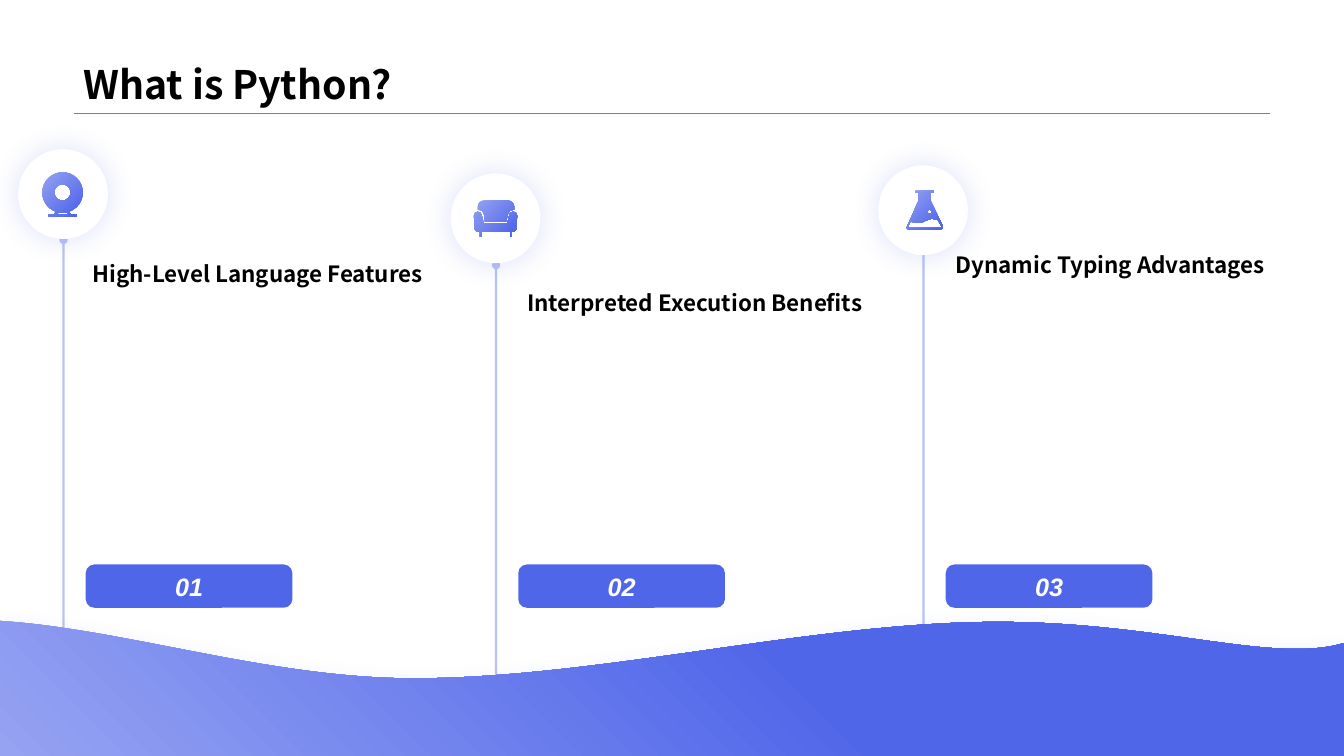
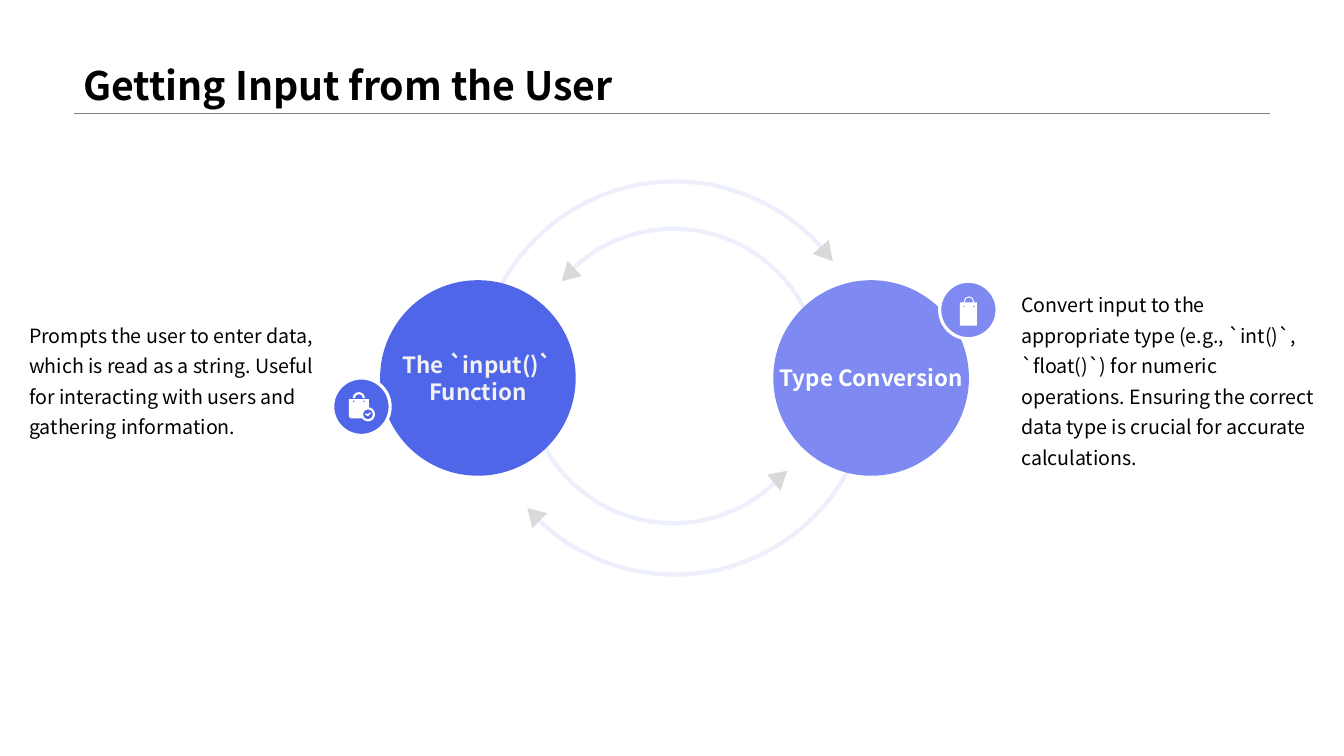
from math import cos, radians, sin, tan

from lxml import etree
from pptx import Presentation
from pptx.dml.color import RGBColor
from pptx.enum.shapes import MSO_CONNECTOR, MSO_SHAPE
from pptx.enum.text import MSO_ANCHOR, MSO_AUTO_SIZE, PP_ALIGN
from pptx.oxml.ns import qn
from pptx.util import Pt

PX = 9144
WIDTH, HEIGHT = 1333, 750
STRAIGHT = MSO_CONNECTOR.STRAIGHT
OVAL, ROUNDED = MSO_SHAPE.OVAL, MSO_SHAPE.ROUNDED_RECTANGLE
TOP, MIDDLE, BOTTOM = MSO_ANCHOR.TOP, MSO_ANCHOR.MIDDLE, MSO_ANCHOR.BOTTOM
LEFT, CENTER = PP_ALIGN.LEFT, PP_ALIGN.CENTER
GROW = MSO_AUTO_SIZE.SHAPE_TO_FIT_TEXT
BLUE = RGBColor(0x50, 0x66, 0xE9)
PERIWINKLE = RGBColor(0x7E, 0x8A, 0xF1)
PALE_BLUE = RGBColor(0x96, 0xA3, 0xF2)
BLACK = RGBColor(0x00, 0x00, 0x00)
GRAY = RGBColor(0x80, 0x80, 0x80)
ARROW_GRAY = RGBColor(0xD9, 0xD9, 0xD9)
OFF_WHITE = RGBColor(0xF2, 0xF2, 0xF2)
WHITE = RGBColor(0xFF, 0xFF, 0xFF)
SANS, NUMERAL_FONT = "Noto Sans CJK SC", "Arial"


def arc(center_x, center_y, radius, start, end):
    low, high = sorted((start, end))
    stops = [low, *(turn for turn in range(-360, 451, 90) if low < turn < high), high]
    if start > end:
        stops.reverse()
    segments = [(center_x + radius * cos(radians(start)), center_y + radius * sin(radians(start)))]
    for a, b in zip(map(radians, stops), map(radians, stops[1:])):
        reach = 4 / 3 * tan((b - a) / 4)
        segments.append((
            center_x + radius * (cos(a) - reach * sin(a)),
            center_y + radius * (sin(a) + reach * cos(a)),
            center_x + radius * (cos(b) + reach * sin(b)),
            center_y + radius * (sin(b) - reach * cos(b)),
            center_x + radius * cos(b),
            center_y + radius * sin(b),
        ))
    return segments


def draw_outline(page, contours, color, closed=True):
    builder = None
    for contour in contours:
        lengths = [round(value * PX) for segment in contour for value in segment]
        points = list(zip(lengths[::2], lengths[1::2]))
        if builder is None:
            builder = page.shapes.build_freeform(*points[0])
        else:
            builder.move_to(*points[0])
        builder.add_line_segments(points[1:], close=closed)
    shape = builder.convert_to_shape()
    steps = iter(list(shape._element.spPr.iter(qn("a:lnTo"))))
    for segment in (segment for contour in contours for segment in contour[1:]):
        step = next(steps)
        if len(segment) == 6:
            step.tag = qn("a:cubicBezTo")
            for extra in (next(steps), next(steps)):
                step.append(extra[0])
                extra.getparent().remove(extra)
    shape.shadow.inherit = False
    if closed:
        shape.fill.solid()
        shape.fill.fore_color.rgb = color
        shape.line.fill.background()
    else:
        shape.fill.background()
        shape.line.color.rgb = color
    return shape


deck = Presentation()
deck.slide_width, deck.slide_height = WIDTH * PX, HEIGHT * PX
labels = []
growing_boxes = []
connectors = []
faded_lines = []
gradients = []
shadows = []

pages = []
for title, spacing in (("What is Python?", 0.9), ("Getting Input from the User", 1.2)):
    page = deck.slides.add_slide(deck.slide_layouts[6])
    rule = page.shapes.add_connector(STRAIGHT, 73 * PX, 112 * PX, 1260 * PX, 112 * PX)
    rule.line.color.rgb = GRAY
    rule.line.width = Pt(0.25)
    connectors.append(rule)
    box = page.shapes.add_textbox(73 * PX, 0, 1187 * PX, 112 * PX)
    labels.append((box, title, SANS, 28, BLACK, True, LEFT, BOTTOM, spacing))
    pages.append(page)
features_page, input_page = pages

webcam = [
    arc(62, 191, 20, 110, 430)
    + [(70, 213), (76, 213), (76, 215), (48, 215), (48, 213), (54, 213)],
    [(58, 211), (56, 213), (68, 213), (67, 211)],
    arc(62, 191, 8, 0, 360),
]
armchair = [
    arc(474, 214, 4, 180, 360) + [(480, 222), (503, 222)] + arc(509, 214, 4, 180, 360)
    + [(512, 228), (510, 230), (507, 230), (507, 235), (506, 235), (506, 230), (478, 230),
       (478, 235), (476, 235), (476, 230), (473, 230), (471, 228)],
    arc(480, 205, 6, 180, 270) + arc(504, 205, 6, 270, 360)
    + [(510, 208), (506, 209), (504, 212), (502, 220), (481, 220), (480, 212), (478, 209),
       (474, 208)],
]
flask = [
    [(908, 189), (926, 189), (926, 191), (923, 191), (923, 199), (935, 224), (935, 226),
     (933, 228), (901, 228), (899, 226), (900, 224), (911, 199), (911, 191), (908, 191)],
    [(903, 220), (909, 221), (914, 221), (918, 219), (924, 217), (930, 218), (934, 225),
     (933, 226), (901, 226), (901, 224)],
    arc(922, 210, 2, 0, 360),
]

features = (
    ("01", "High-Level Language Features", webcam, 63, 148, 238, 656, 82, 253),
    ("02", "Interpreted Execution Benefits", armchair, 492, 172, 263, 707, 513, 282),
    ("03", "Dynamic Typing Advantages", flask, 916, 164, 224, 656, 938, 244),
)
for number, heading, icon, x, disc_top, stem_top, stem_bottom, left, top in features:
    stem = features_page.shapes.add_connector(
        STRAIGHT, x * PX, stem_top * PX, x * PX, stem_bottom * PX)
    stem.line.color.rgb = BLUE
    stem.line.width = Pt(1.5)
    outline = stem._element.spPr.find(qn("a:ln"))
    for end in ("a:headEnd", "a:tailEnd"):
        etree.SubElement(outline, qn(end), type="oval")
    connectors.append(stem)
    faded_lines.append((stem, 40))

wave = [
    (WIDTH, 638), (WIDTH, HEIGHT), (0, HEIGHT), (0, 616),
    (124, 624, 267, 673, 410, 673),
    (594, 673, 806, 617, 990, 617),
    (1150, 617, 1264, 659, WIDTH, 638),
]
wave_shape = draw_outline(features_page, [wave], BLUE)
gradients.append((wave_shape, 45, 0.6))
shadows.append((wave_shape, 10))

for number, heading, icon, x, disc_top, stem_top, stem_bottom, left, top in features:
    badge = features_page.shapes.add_shape(
        ROUNDED, (x + 22) * PX, 560 * PX, 205 * PX, 43 * PX)
    badge.adjustments[0] = 0.2
    badge.shadow.inherit = False
    badge.fill.solid()
    badge.fill.fore_color.rgb = BLUE
    badge.line.fill.background()
    labels.append((badge, number, NUMERAL_FONT, 18, WHITE, True, CENTER, MIDDLE, 1))
    box = features_page.shapes.add_textbox(left * PX, top * PX, 384 * PX, 37 * PX)
    growing_boxes.append(box)
    labels.append((box, heading, SANS, 16, BLACK, True, LEFT, TOP, 1))
    disc = features_page.shapes.add_shape(
        OVAL, (x - 45) * PX, disc_top * PX, 89 * PX, 89 * PX)
    disc.fill.solid()
    disc.fill.fore_color.rgb = WHITE
    disc.line.fill.background()
    shadows.append((disc, 0))
    gradients.append((draw_outline(features_page, icon, BLUE), 315, 0.9))

for center_x, center_y, radius, start, end in (
    (669, 375, 195, 180, 319),
    (668, 373, 146, 45, 184),
    (668, 373, 146, 225, 361),
    (669, 375, 195, 0, 136),
):
    orbit = draw_outline(
        input_page, [arc(center_x, center_y, radius, start, end)], BLUE, closed=False)
    orbit.line.width = Pt(3)
    faded_lines.append((orbit, 10))

for arrowhead in (
    [(822, 238), (806, 252), (826, 259)],
    [(761, 471), (774, 487), (781, 467)],
    [(577, 274), (563, 259), (557, 279)],
    [(528, 524), (543, 509), (523, 504)],
):
    draw_outline(input_page, [arrowhead], ARROW_GRAY)

checked_bag = [
    [(346, 396), (366, 396)] + arc(365, 411, 7, -82, 145) + [(348, 415), (346, 413)],
    arc(365, 411, 5, 0, 360),
    [(362, 411), (363, 410), (365, 411), (367, 409), (368, 410), (365, 413)],
    arc(351, 398, 1, 0, 360),
    arc(361, 398, 1, 0, 360),
    arc(356, 395, 6, 180, 360) + arc(356, 395, 4, 360, 180),
]
shopping_bag = [
    [(952, 300), (969, 300), (969, 323), (952, 323)],
    arc(956, 304, 1, 0, 360),
    arc(966, 304, 1, 0, 360),
    arc(961, 299, 5, 180, 360) + [(966, 300), (965, 300)] + arc(961, 299, 4, 360, 180)
    + [(957, 300), (956, 300)],
]
for topic, color, text_color, center_x, icon, icon_left, icon_top, left, description in (
    ("The `input()` Function", BLUE, OFF_WHITE, 474, checked_bag, 330, 375, 19,
     "Prompts the user to enter data, which is read as a string. Useful for interacting "
     "with users and gathering information."),
    ("Type Conversion", PERIWINKLE, WHITE, 864, shopping_bag, 932, 279, 1003,
     "Convert input to the appropriate type (e.g., `int()`, `float()`) for numeric "
     "operations. Ensuring the correct data type is crucial for accurate calculations."),
):
    circle = draw_outline(input_page, [arc(center_x, 375, 97, 0, 360)], color)
    frame = circle.text_frame
    frame.margin_left = frame.margin_right = frame.margin_top = frame.margin_bottom = 0
    labels.append((circle, topic, SANS, 16, text_color, True, CENTER, MIDDLE, 1))
    marker = input_page.shapes.add_shape(
        OVAL, icon_left * PX, icon_top * PX, 57 * PX, 57 * PX)
    marker.shadow.inherit = False
    marker.fill.solid()
    marker.fill.fore_color.rgb = color
    marker.line.color.rgb = WHITE
    marker.line.width = Pt(2.25)
    draw_outline(input_page, icon, WHITE)
    box = input_page.shapes.add_textbox(left * PX, 279 * PX, 311 * PX, 191 * PX)
    growing_boxes.append(box)
    labels.append((box, description, SANS, 14, BLACK, False, LEFT, MIDDLE, 1.3))

for shape, text, font_name, size, color, bold, alignment, anchor, spacing in labels:
    frame = shape.text_frame
    frame.word_wrap = True
    frame.vertical_anchor = anchor
    para = frame.paragraphs[0]
    para.text = text
    para.alignment = alignment
    para.line_spacing = spacing
    para.font.name = font_name
    para.font.size = Pt(size)
    para.font.color.rgb = color
    para.font.bold = bold
    para.font.italic = font_name == NUMERAL_FONT

for box in growing_boxes:
    box.text_frame.auto_size = GROW

for connector in connectors:
    etree.SubElement(connector._element.spPr, qn("a:effectLst"))

for shape, opacity in faded_lines:
    tint = shape._element.spPr.find(qn("a:ln")).find(".//" + qn("a:srgbClr"))
    etree.SubElement(tint, qn("a:alpha"), val=str(opacity * 1000))

for shape, angle, last_position in gradients:
    shape.fill.gradient()
    shape.fill.gradient_angle = angle
    first, last = shape.fill.gradient_stops
    first.color.rgb, first.position = PALE_BLUE, 0
    last.color.rgb, last.position = BLUE, last_position

for shape, distance in shadows:
    shape.shadow.inherit = False
    effects = shape._element.spPr.find(qn("a:effectLst"))
    glow = etree.SubElement(
        effects, qn("a:outerShdw"), blurRad=str(Pt(20)), dist=str(Pt(distance)),
        dir="5400000", algn="ctr", rotWithShape="0")
    tint = etree.SubElement(glow, qn("a:srgbClr"), val=str(BLUE))
    etree.SubElement(tint, qn("a:alpha"), val="20000")

deck.save("out.pptx")
